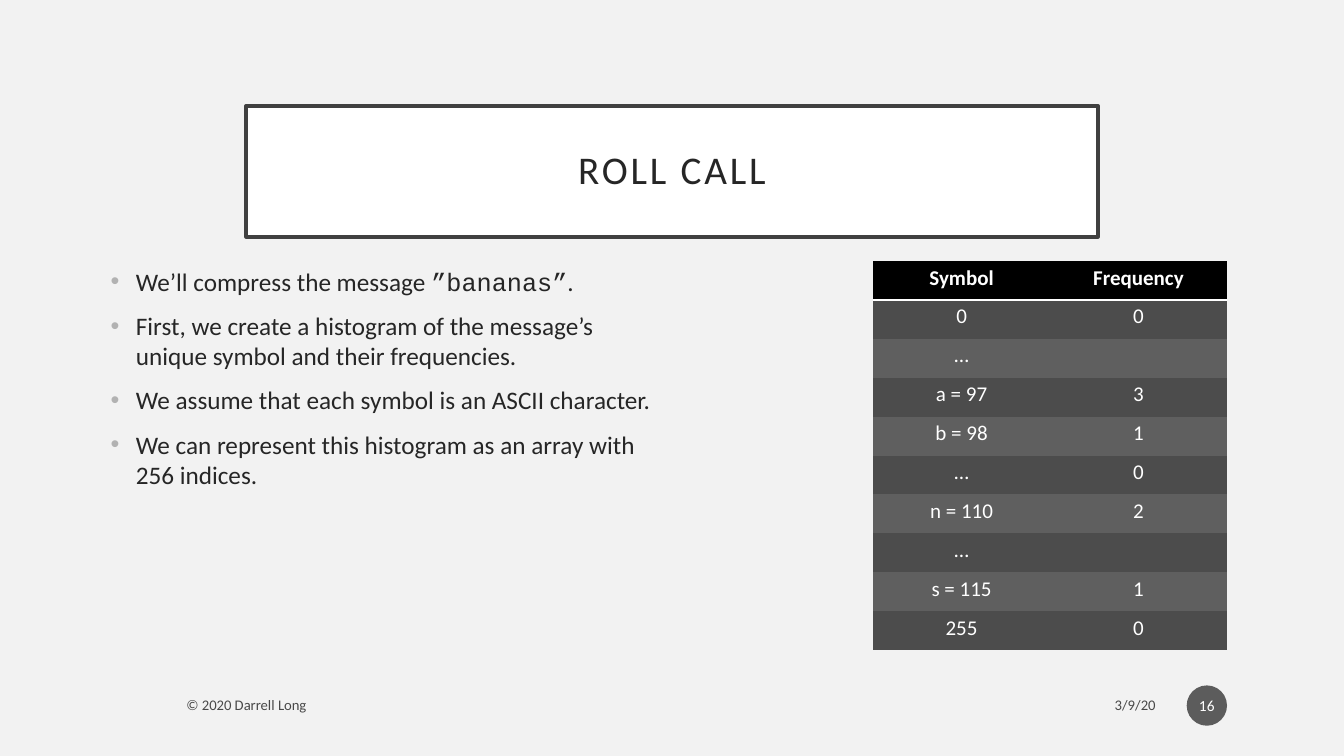
from lxml import etree
from pptx import Presentation
from pptx import util as u
from pptx.dml.color import RGBColor
from pptx.enum import shapes, text
from pptx.oxml import ns

TITLE = "ROLL CALL"
POINTS = [
    [("We’ll compress the message ", "body"), ("”bananas”", "code"), (".", "body")],
    [("First, we create a histogram of the message’s unique symbol and their frequencies.", "body")],
    [("We assume that each symbol is an ASCII character.", "body")],
    [("We can represent this histogram as an array with 256 indices.", "body")],
]
HISTOGRAM = [
    ("Symbol", "Frequency"),
    ("0", "0"),
    ("…", ""),
    ("a = 97", "3"),
    ("b = 98", "1"),
    ("…", "0"),
    ("n = 110", "2"),
    ("…", ""),
    ("s = 115", "1"),
    ("255", "0"),
]
COPYRIGHT, DATE, PAGE = "© 2020 Darrell Long", "3/9/20", "16"

THEME = {
    "fonts": {"body": "Calibri", "code": "Courier New"},
    "sizes": {"title": 28, "body": 18, "table": 15, "footer": 10.5, "page": 11},
    "background": "F2F2F2", "panel": "FFFFFF", "frame": "404040",
    "ink": "262626", "bullet": "B2B2B2", "light": "FFFFFF",
    "header": "000000", "bands": ("4C4C4C", "5F5F5F"),
    "footer": "000000", "badge": "1D1D1D", "opacity": 70,
    "plain_table": "{2D5ABB26-0587-4C30-8999-92F81FD0307C}",
}
SIZES = THEME["sizes"]
ALIGN = text.PP_ALIGN


def add_xml(parent, tag, index=None, **attributes):
    element = etree.Element(ns.qn(tag), attributes)
    parent.insert(len(parent) if index is None else index, element)
    return element


def paint(fill, color, opacity=100):
    fill.solid()
    fill.fore_color.rgb = RGBColor.from_string(color)
    if opacity < 100:
        for rgb in fill._xPr.iterfind(ns.qn("a:solidFill") + "/" + ns.qn("a:srgbClr")):
            add_xml(rgb, "a:alpha", val=str(opacity * 1000))


def write(paragraph, runs, size, color, align=ALIGN.LEFT, bold=False, opacity=100, tracking=0):
    paragraph.alignment = align
    for words, face in ([(runs, "body")] if isinstance(runs, str) else runs):
        run = paragraph.add_run()
        run.text = words
        run.font.name = THEME["fonts"][face]
        run.font.size = u.Pt(size)
        run.font.bold = bold
        paint(run.font.fill, color, opacity)
        if tracking:
            run.font._element.set("spc", str(tracking * 100))


def set_frame(shape, inset=(0.1, 0.05), anchor=text.MSO_ANCHOR.MIDDLE):
    frame = shape.text_frame
    frame.word_wrap = True
    frame.vertical_anchor = anchor
    frame.margin_left = frame.margin_right = u.Inches(inset[0])
    frame.margin_top = frame.margin_bottom = u.Inches(inset[1])
    return frame


def add_bullet(paragraph):
    properties = paragraph._p.get_or_add_pPr()
    properties.set("marL", str(u.Inches(0.25)))
    properties.set("indent", str(u.Inches(-0.25)))
    add_xml(add_xml(properties, "a:buClr"), "a:srgbClr", val=THEME["bullet"])
    add_xml(properties, "a:buFont", typeface="Arial")
    add_xml(properties, "a:buChar", char="•")


def add_title(slide):
    box = slide.shapes.add_shape(shapes.MSO_SHAPE.RECTANGLE, *map(u.Inches, (2.44, 1.05, 8.45, 1.3)))
    box.shadow.inherit = False
    paint(box.fill, THEME["panel"])
    paint(box.line.fill, THEME["frame"])
    box.line.width = u.Pt(2.5)
    heading = set_frame(box, (0.2, 0.2)).paragraphs[0]
    heading.line_spacing = 0.9
    write(heading, TITLE, SIZES["title"], THEME["ink"], ALIGN.CENTER, tracking=2)


def add_points(slide):
    box = slide.shapes.add_textbox(*map(u.Inches, (1, 2.59, 5.67, 3.74)))
    frame = set_frame(box, anchor=text.MSO_ANCHOR.TOP)
    for number, point in enumerate(POINTS):
        paragraph = frame.add_paragraph() if number else frame.paragraphs[0]
        add_bullet(paragraph)
        if number:
            paragraph.space_before = u.Pt(10)
        write(paragraph, point, SIZES["body"], THEME["ink"])


def add_histogram(slide):
    place = map(u.Inches, (8.66, 2.59, 3.51, 3.86))
    table = slide.shapes.add_table(len(HISTOGRAM), len(HISTOGRAM[0]), *place).table
    table._tbl.tblPr.find(ns.qn("a:tableStyleId")).text = THEME["plain_table"]
    for row, entries in enumerate(HISTOGRAM):
        for column, entry in enumerate(entries):
            cell = table.cell(row, column)
            cell.margin_left = cell.margin_right = u.Inches(0.09)
            cell.margin_top = cell.margin_bottom = u.Inches(0.04)
            paint(cell.fill, THEME["bands"][(row - 1) % 2] if row else THEME["header"])
            if not row:
                rule = add_xml(cell._tc.tcPr, "a:lnB", 0, w=str(u.Pt(2)))
                add_xml(add_xml(rule, "a:solidFill"), "a:srgbClr", val=THEME["light"])
            if entry:
                write(cell.text_frame.paragraphs[0], entry, SIZES["table"], THEME["light"],
                      ALIGN.CENTER, bold=not row)


def add_footer(slide):
    for words, left, width, align in ((DATE, 8.55, 3.01, ALIGN.RIGHT),
                                      (COPYRIGHT, 1.75, 6.45, ALIGN.LEFT)):
        box = slide.shapes.add_textbox(*map(u.Inches, (left, 6.82, width, 0.35)))
        write(set_frame(box).paragraphs[0], words, SIZES["footer"], THEME["footer"],
              align, opacity=THEME["opacity"])
    badge = slide.shapes.add_shape(shapes.MSO_SHAPE.OVAL, *map(u.Inches, (11.77, 6.8, 0.4, 0.4)))
    badge.shadow.inherit = False
    badge.line.fill.background()
    paint(badge.fill, THEME["badge"], THEME["opacity"])
    write(set_frame(badge, (0.02, 0.05)).paragraphs[0], PAGE, SIZES["page"], THEME["light"], ALIGN.CENTER)


def main():
    deck = Presentation()
    deck.slide_width, deck.slide_height = u.Inches(13.33), u.Inches(7.5)
    slide = deck.slides.add_slide(deck.slide_layouts[6])
    paint(slide.background.fill, THEME["background"])
    add_title(slide)
    add_points(slide)
    add_histogram(slide)
    add_footer(slide)
    deck.save("out.pptx")


if __name__ == "__main__":
    main()
